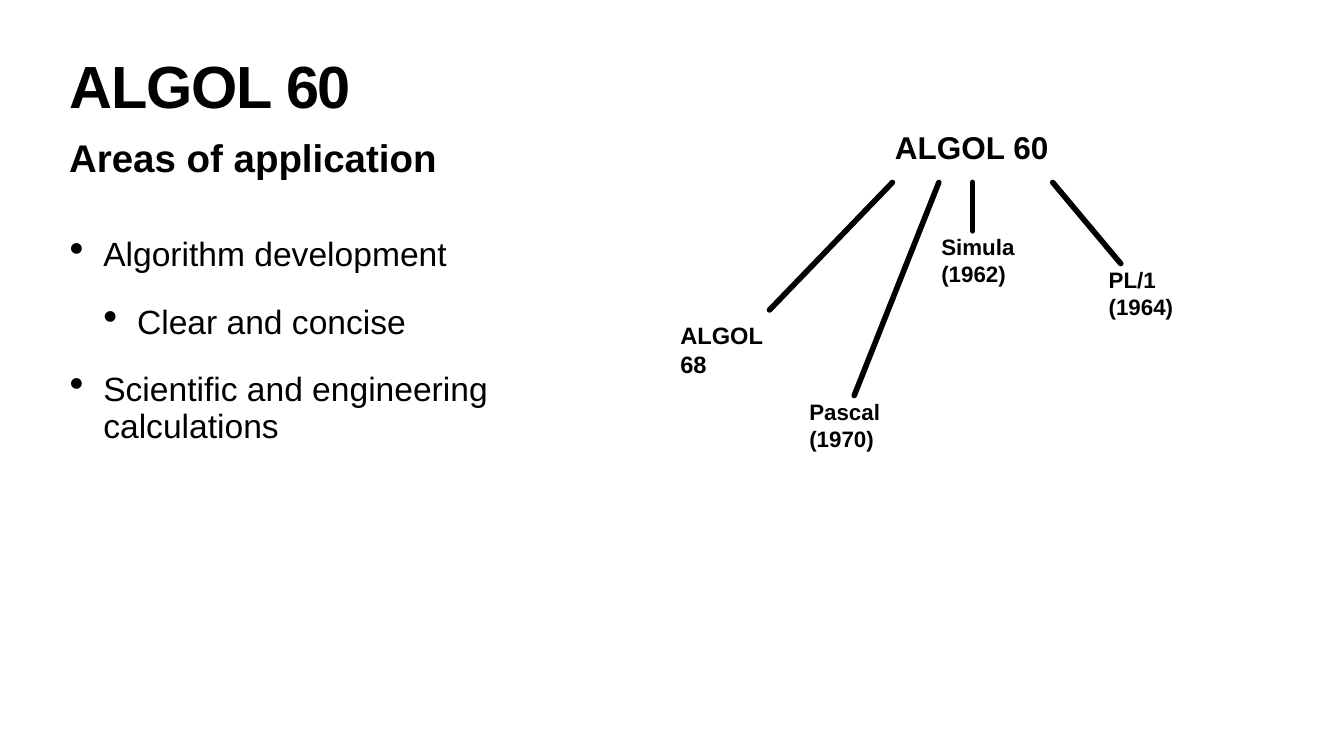
"""Build the ALGOL 60 slide: areas of application and descendant languages."""
from dataclasses import dataclass

from lxml import etree
from pptx import Presentation
from pptx.dml.color import RGBColor
from pptx.enum import shapes, text
from pptx.oxml.ns import qn
from pptx.util import Inches, Pt


@dataclass(frozen=True)
class Theme:
    font: str = "Arial"
    ink: RGBColor = RGBColor(0, 0, 0)
    paper: RGBColor = RGBColor(255, 255, 255)
    title: float = 85
    subtitle: float = 55
    body: float = 48
    root: float = 45
    successor: float = 31.9
    revision: float = 33.8
    branch: float = 8


@dataclass(frozen=True)
class Line:
    wording: str
    level: int = 0


@dataclass(frozen=True)
class Descendant:
    name: str
    left: float
    top: float
    size: float
    branch_top: float
    branch_end: tuple[float, float]


THEME = Theme()
MARGIN, COLUMN = 1.32, 10.69
LABEL_WIDTH, LABEL_HEIGHT = 2.36, 1.19
BRANCH_START = 3.62
BULLET_STEP = 0.67
APPLICATIONS = [
    Line("Algorithm development"),
    Line("Clear and concise", level=1),
    Line("Scientific and engineering calculations"),
]
DESCENDANTS = [
    Descendant("ALGOL 68", 13.45, 6.32, THEME.revision, 17.71, (15.27, 6.15)),
    Descendant("Pascal (1970)", 16.01, 7.85, THEME.successor, 18.63, (16.95, 7.85)),
    Descendant("Simula (1962)", 18.63, 4.58, THEME.successor, 19.3, (19.3, 4.58)),
    Descendant("PL/1 (1964)", 21.95, 5.23, THEME.successor, 20.89, (22.24, 5.23)),
]


def add_bullet(paragraph, level: int) -> None:
    """Give a paragraph a hanging bullet at its level."""
    paragraph.level = level
    properties = paragraph._p.get_or_add_pPr()
    properties.set("marL", str(Inches(BULLET_STEP * (level + 1))))
    properties.set("indent", str(-Inches(BULLET_STEP)))
    etree.SubElement(properties, qn("a:buSzPct")).set("val", "123000")
    etree.SubElement(properties, qn("a:buChar")).set("char", "•")


def add_text(slide, lines: list[Line], left: float, top: float, width: float,
             height: float, *, size: float, bold: bool = True, inset: float = 0.05,
             line_spacing: float | None = None, space_before: float = 0,
             tracking: float = 0, bulleted: bool = False) -> None:
    """Add a text box with one paragraph per line."""
    box = slide.shapes.add_textbox(Inches(left), Inches(top), Inches(width), Inches(height))
    frame = box.text_frame
    frame.word_wrap = True
    frame.vertical_anchor = text.MSO_ANCHOR.TOP
    frame.margin_left = frame.margin_right = Inches(inset)
    frame.margin_top = frame.margin_bottom = Inches(inset)
    for index, line in enumerate(lines):
        paragraph = frame.add_paragraph() if index else frame.paragraphs[0]
        if line_spacing:
            paragraph.line_spacing = line_spacing
        paragraph.space_before = Pt(space_before)
        if bulleted:
            add_bullet(paragraph, line.level)
        run = paragraph.add_run()
        run.text = line.wording
        run.font.name = THEME.font
        run.font.size = Pt(size)
        run.font.bold = bold
        run.font.color.rgb = THEME.ink
        if tracking:
            run._r.get_or_add_rPr().set("spc", str(round(tracking * 100)))


def add_branch(slide, start: tuple[float, float], end: tuple[float, float]) -> None:
    """Draw a round-capped line between two points."""
    branch = slide.shapes.add_connector(
        shapes.MSO_CONNECTOR.STRAIGHT, *map(Inches, start + end))
    branch.line.color.rgb = THEME.ink
    branch.line.width = Pt(THEME.branch)
    branch.line._get_or_add_ln().set("cap", "rnd")
    etree.SubElement(branch._element.spPr, qn("a:effectLst"))


def add_descendant(slide, language: Descendant) -> None:
    """Draw a descendant language and its branch from the root."""
    add_branch(slide, (language.branch_top, BRANCH_START), language.branch_end)
    add_text(slide, [Line(language.name)], language.left, language.top,
             LABEL_WIDTH, LABEL_HEIGHT, size=language.size)


def main() -> None:
    """Build and save the slide."""
    deck = Presentation()
    deck.slide_width, deck.slide_height = Inches(26.67), Inches(15)
    slide = deck.slides.add_slide(deck.slide_layouts[6])
    slide.background.fill.solid()
    slide.background.fill.fore_color.rgb = THEME.paper

    add_text(slide, [Line("ALGOL 60")], MARGIN, 1.18, COLUMN, 1.57, size=THEME.title,
             inset=0.06, line_spacing=0.8, tracking=-1.7)
    add_text(slide, [Line("Areas of application")], MARGIN, 2.6, COLUMN, 1.02,
             size=THEME.subtitle)
    add_text(slide, APPLICATIONS, MARGIN, 4.65, COLUMN, 9.03, size=THEME.body, bold=False,
             inset=0.06, line_spacing=0.9, space_before=45, bulleted=True)
    add_text(slide, [Line("ALGOL 60")], 17.71, 2.49, 3.18, LABEL_HEIGHT, size=THEME.root)
    for language in DESCENDANTS:
        add_descendant(slide, language)
    deck.save("out.pptx")


if __name__ == "__main__":
    main()
